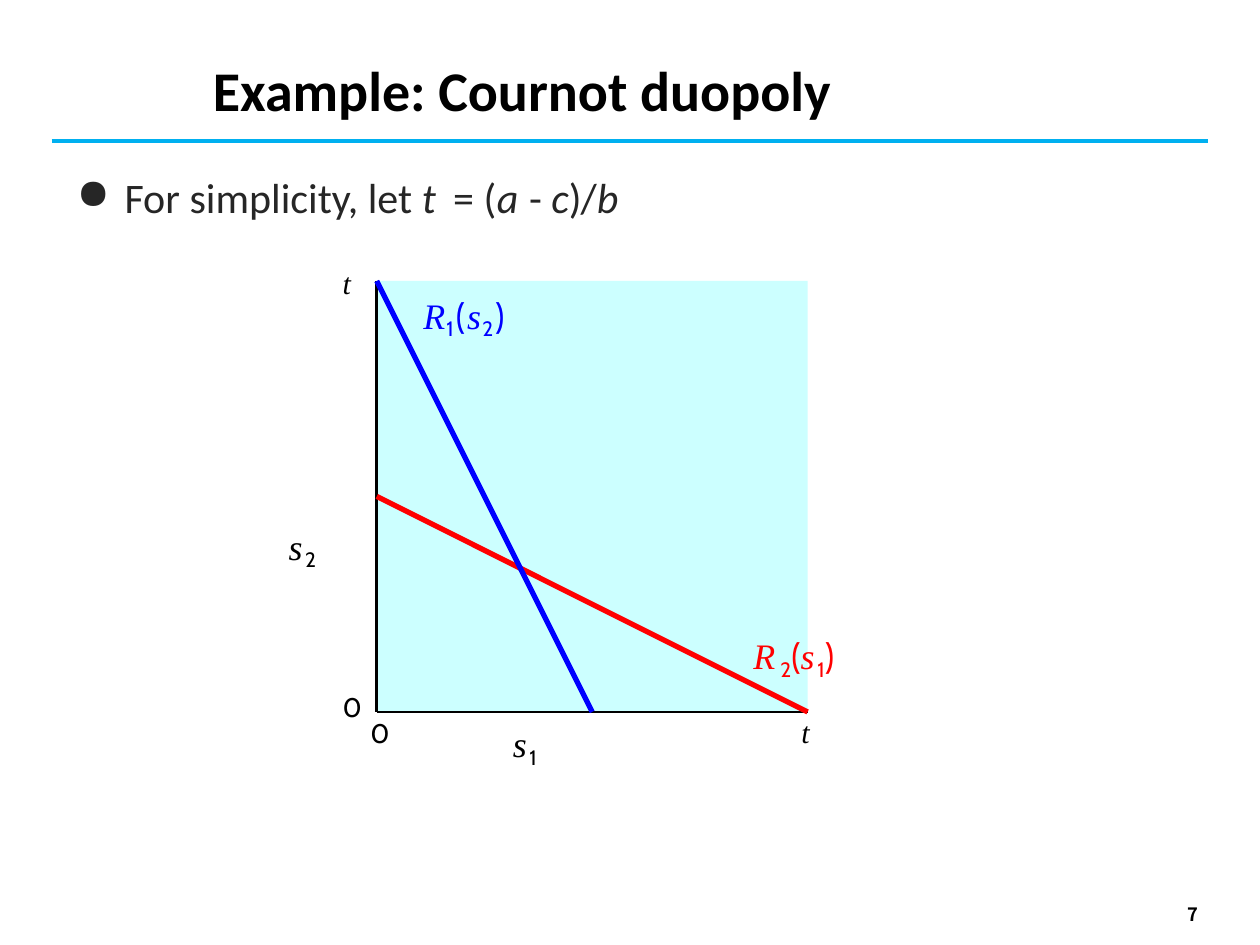
"""Build the Cournot duopoly slide with its two reaction curves."""
from lxml.etree import SubElement
from pptx import Presentation
from pptx.dml.color import RGBColor
from pptx.enum.shapes import MSO_CONNECTOR, MSO_SHAPE
from pptx.enum.text import MSO_ANCHOR, PP_ALIGN
from pptx.oxml.ns import qn
from pptx.util import Inches, Pt

COLORS = {"black": "000000", "body": "262626", "rule": "00B0F0",
          "plot": "CCFFFF", "firm1": "0000FF", "firm2": "FF0000"}
STYLES = {"variable": ("Times New Roman", True, 0),
          "symbol": ("Cabin", False, 0),
          "subscript": ("Cabin", False, -21),
          "plain": ("Calibri", False, 0),
          "italic": ("Calibri", True, 0),
          "number": ("Noto Sans CJK KR", False, 0)}

prs = Presentation()
prs.slide_width, prs.slide_height = Inches(10), Inches(7.5)
slide = prs.slides.add_slide(prs.slide_layouts[6])


def add_text(left, top, width, height, size, color, runs, bold=False, inset=(0, 0)):
    frame = slide.shapes.add_textbox(
        Inches(left), Inches(top), Inches(width), Inches(height)).text_frame
    frame.word_wrap = True
    frame.margin_left = frame.margin_right = Inches(inset[0])
    frame.margin_top = frame.margin_bottom = Inches(inset[1])
    paragraph = frame.paragraphs[0]
    for text, style, spacing in runs:
        run = paragraph.add_run()
        run.text = text
        font = run.font
        font.name, font.italic, baseline = STYLES[style]
        font.size, font.bold = Pt(size), bold
        font.color.rgb = RGBColor.from_string(COLORS[color])
        properties = run._r.get_or_add_rPr()
        if spacing:
            properties.set("spc", str(round(spacing * 100)))
        if baseline:
            properties.set("baseline", str(baseline * 1000))
    return frame


def add_line(start, end, color, width):
    line = slide.shapes.add_connector(
        MSO_CONNECTOR.STRAIGHT, *(Inches(value) for value in (*start, *end)))
    line.line.color.rgb = RGBColor.from_string(COLORS[color])
    line.line.width = Pt(width)
    SubElement(line._element.spPr, qn("a:effectLst"))


page_number = add_text(9.33, 7.14, 0.79, 0.23, 10.5, "black",
                       [("7", "number", 0)], bold=True, inset=(0.1, 0.05))
page_number.vertical_anchor = MSO_ANCHOR.MIDDLE
add_line((0.41, 1.12), (9.59, 1.12), "rule", 2.25)
add_text(1.69, 0.44, 7.8, 0.59, 32, "black",
         [("Example: Cournot duopoly", "plain", 0)], bold=True)

assumption = add_text(0.51, 1.31, 8.95, 0.6, 24, "body", [
    ("For simplicity, let ", "plain", 0), ("t ", "italic", 2.2),
    ("= ", "plain", 0), ("(", "plain", 0.3), ("a ", "italic", 0.3),
    ("- ", "plain", 0), ("c", "italic", -0.6), (")/", "plain", -0.6),
    ("b", "italic", -0.6)], inset=(0.1, 0.05))
bullet_format = assumption.paragraphs[0]._p.get_or_add_pPr()
bullet_format.set("marL", str(Inches(0.38)))
bullet_format.set("indent", str(-Inches(0.38)))
SubElement(bullet_format, qn("a:buChar")).set("char", "●")

left, top, side = 2.99, 2.23, 3.42
right, bottom, half = left + side, top + side, side / 2
plot = slide.shapes.add_shape(
    MSO_SHAPE.RECTANGLE, Inches(left), Inches(top), Inches(side), Inches(side))
plot.shadow.inherit = False
plot.fill.solid()
plot.fill.fore_color.rgb = RGBColor.from_string(COLORS["plot"])
plot.line.fill.background()

for start, end, color, width in [
        ((left, top), (left, bottom), "black", 1.5),
        ((left, bottom), (right, bottom), "black", 1.5),
        ((left, top + half), (right, bottom), "firm2", 3),
        ((left, top), (left + half, bottom), "firm1", 3)]:
    add_line(start, end, color, width)

for x, y in [(2.72, 2.1), (6.36, 5.66)]:
    add_text(x, y, 0.12, 0.29, 17.1, "black", [("t", "variable", 0)])
for x, y in [(2.72, 5.52), (2.94, 5.73)]:
    origin = add_text(x, y, 0.15, 0.22, 15.4, "black", [("0", "symbol", 0)])
    origin.paragraphs[0].line_spacing = Pt(15.6)
for x, y, firm in [(4.07, 5.73, "1"), (2.29, 4.16, "2")]:
    add_text(x, y, 0.3, 0.35, 20.5, "black",
             [("s", "variable", 1.5), (firm, "subscript", 0)])

for x, y, color, firm, rival, gap, sub_gap, rival_gap in [
        (3.36, 2.33, "firm1", "1", "2", 0.7, 1.1, 0.7),
        (5.62, 5.03, "firm2", "2", "1", 3, 0, 1.5)]:
    reaction = add_text(x, y, 1, 0.35, 20.5, color, [
        ("R", "variable", gap), (firm, "subscript", sub_gap),
        ("(", "symbol", sub_gap), ("s", "variable", rival_gap),
        (rival, "subscript", sub_gap), (")", "symbol", 0)])
    if color == "firm2":
        reaction.paragraphs[0].alignment = PP_ALIGN.RIGHT

prs.save("out.pptx")
